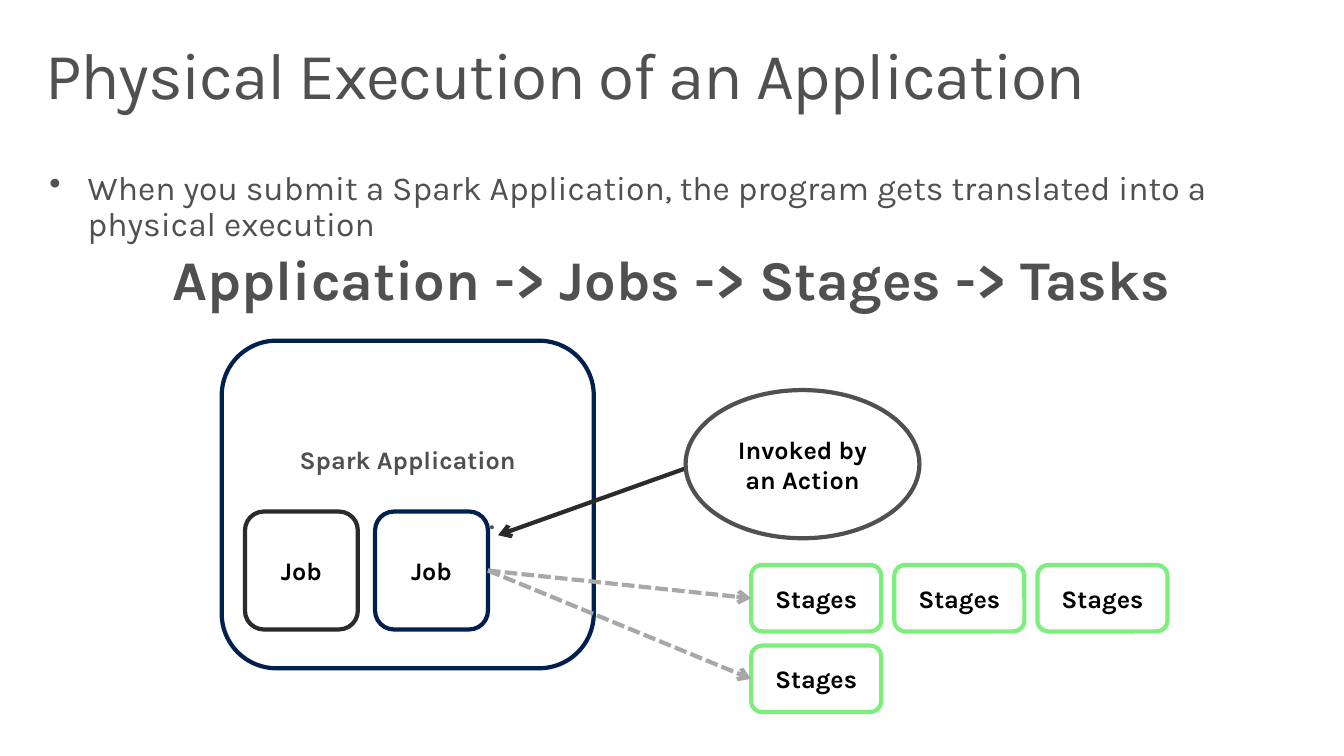
from dataclasses import dataclass

import pptx
import pptx.util
import pptx.dml.color
import pptx.enum.dml
import pptx.enum.shapes
import pptx.enum.text
from lxml import etree

Pt = pptx.util.Pt
Inches = pptx.util.Inches
MSO = pptx.enum.shapes.MSO_SHAPE
ALIGN = pptx.enum.text.PP_ALIGN
ANCHOR = pptx.enum.text.MSO_ANCHOR


@dataclass(frozen=True)
class Theme:
    font: str = "Karla"
    grey: str = "505050"
    navy: str = "002050"
    dark: str = "2B2B2B"
    green: str = "7CEE7C"
    pale: str = "A8A8A8"
    black: str = "000000"
    white: str = "FFFFFF"
    title: int = 47
    chain: int = 40
    body: int = 24
    label: int = 18
    stroke: int = 3


T = Theme()

TITLE = "Physical Execution of an Application"
BULLET = ("When you submit a Spark Application, the program gets "
          "translated into a physical execution")
CHAIN = "Application -> Jobs -> Stages -> Tasks"
APPLICATION = "Spark Application"
MORE_JOBS = "…"
ACTION = "Invoked by an Action"
JOBS = [("Job", T.dark), ("Job", T.navy)]
STAGES = [("Stages", 0, 0), ("Stages", 1, 0), ("Stages", 2, 0), ("Stages", 0, 1)]

# Left, top, width, height as percentages of the slide
TITLE_BOX = (2.18, 4.27, 95.65, 13.07)
BODY_BOX = (2.18, 20.53, 95.57, 64.67)
APP_BOX = (16.5, 45.07, 27.68, 43.33)
JOB_BOX, JOB_STEP = (18.23, 67.67, 8.4, 15.6), 9.68
ACTION_BOX = (51.01, 51.6, 17.4, 19.6)
STAGE_BOX, STAGE_STEP = (55.89, 74.73, 9.68, 8.8), (10.65, 10.67)
ACTION_START, ACTION_END = (50.94, 62), (37.06, 70.8)

prs = pptx.Presentation()
prs.slide_width, prs.slide_height = Inches(13.33), Inches(7.5)
s = prs.slides.add_slide(prs.slide_layouts[6])


def rgb(value):
    return pptx.dml.color.RGBColor.from_string(value)


def place(*percents):
    """Turn alternating x and y percentages into lengths."""
    sides = (prs.slide_width, prs.slide_height) * 2
    return [int(side * pct / 100) for side, pct in zip(sides, percents)]


def style(p, size, color, bold=False, align=ALIGN.LEFT):
    p.alignment = align
    for r in p.runs:
        r.font.name, r.font.size, r.font.bold = T.font, Pt(size), bold
        r.font.color.rgb = rgb(color)


def add_text(box, lines, inset_x, inset_y):
    tf = s.shapes.add_textbox(*place(*box)).text_frame
    tf.word_wrap = True
    tf.margin_left = tf.margin_right = Inches(inset_x)
    tf.margin_top = tf.margin_bottom = Inches(inset_y)
    tf.text = "\n".join(lines)
    for p in tf.paragraphs:
        p.line_spacing = 0.9
    return tf.paragraphs


def add_node(kind, box, text, line, fill=T.white, color=T.black):
    sp = s.shapes.add_shape(kind, *place(*box))
    sp.shadow.inherit = False
    if fill:
        sp.fill.solid()
        sp.fill.fore_color.rgb = rgb(fill)
    else:
        sp.fill.background()
    sp.line.color.rgb, sp.line.width = rgb(line), Pt(T.stroke)
    tf = sp.text_frame
    tf.word_wrap, tf.vertical_anchor = True, ANCHOR.MIDDLE
    tf.text = text
    for p in tf.paragraphs:
        style(p, T.label, color, True, ALIGN.CENTER)
    return sp


def add_arrow(start, end, color, dash=None):
    cx = s.shapes.add_connector(pptx.enum.shapes.MSO_CONNECTOR.STRAIGHT, *start, *end)
    cx.line.color.rgb, cx.line.width = rgb(color), Pt(T.stroke)
    if dash:
        cx.line.dash_style = dash
    ns = pptx.oxml.ns.qn
    etree.SubElement(cx.line._get_or_add_ln(), ns("a:tailEnd"), type="arrow")
    etree.SubElement(cx._element.spPr, ns("a:effectLst"))


def left_middle(sp):
    return sp.left, sp.top + sp.height // 2


heading, = add_text(TITLE_BOX, [TITLE], 0.16, 0.1)
style(heading, T.title, T.grey)
heading.runs[0]._r.get_or_add_rPr().set("spc", "-100")

bullet, chain = add_text(BODY_BOX, [BULLET, CHAIN], 0.2, 0.16)
pPr = bullet._p.get_or_add_pPr()
pPr.set("marL", str(Inches(0.38)))
pPr.set("indent", str(-Inches(0.38)))
bullet.space_after = chain.space_after = Pt(6)
etree.SubElement(pPr, pptx.oxml.ns.qn("a:buChar"), char="•")
style(bullet, T.body, T.grey)
style(chain, T.chain, T.grey, True, ALIGN.CENTER)

app = add_node(MSO.ROUNDED_RECTANGLE, APP_BOX, f"{APPLICATION}\n{MORE_JOBS}",
               T.navy, None, T.grey)
app.text_frame.margin_bottom = Inches(0.35)
more = app.text_frame.paragraphs[1]
more.space_before = Pt(21)
more._p.get_or_add_pPr().set("marL", str(Inches(1.56)))

x, y, w, h = JOB_BOX
jobs = [add_node(MSO.ROUNDED_RECTANGLE, (x + i * JOB_STEP, y, w, h), text, line)
        for i, (text, line) in enumerate(JOBS)]

add_arrow(place(*ACTION_START), place(*ACTION_END), T.dark)
add_node(MSO.OVAL, ACTION_BOX, ACTION, T.grey)

x, y, w, h = STAGE_BOX
dx, dy = STAGE_STEP
last_job = jobs[-1]
job_exit = (last_job.left + last_job.width, last_job.top + last_job.height // 2)
for text, col, row in STAGES:
    stage = add_node(MSO.ROUNDED_RECTANGLE, (x + col * dx, y + row * dy, w, h),
                     text, T.green)
    if col == 0:
        add_arrow(job_exit, left_middle(stage), T.pale,
                  pptx.enum.dml.MSO_LINE.SQUARE_DOT)

prs.save("out.pptx")
